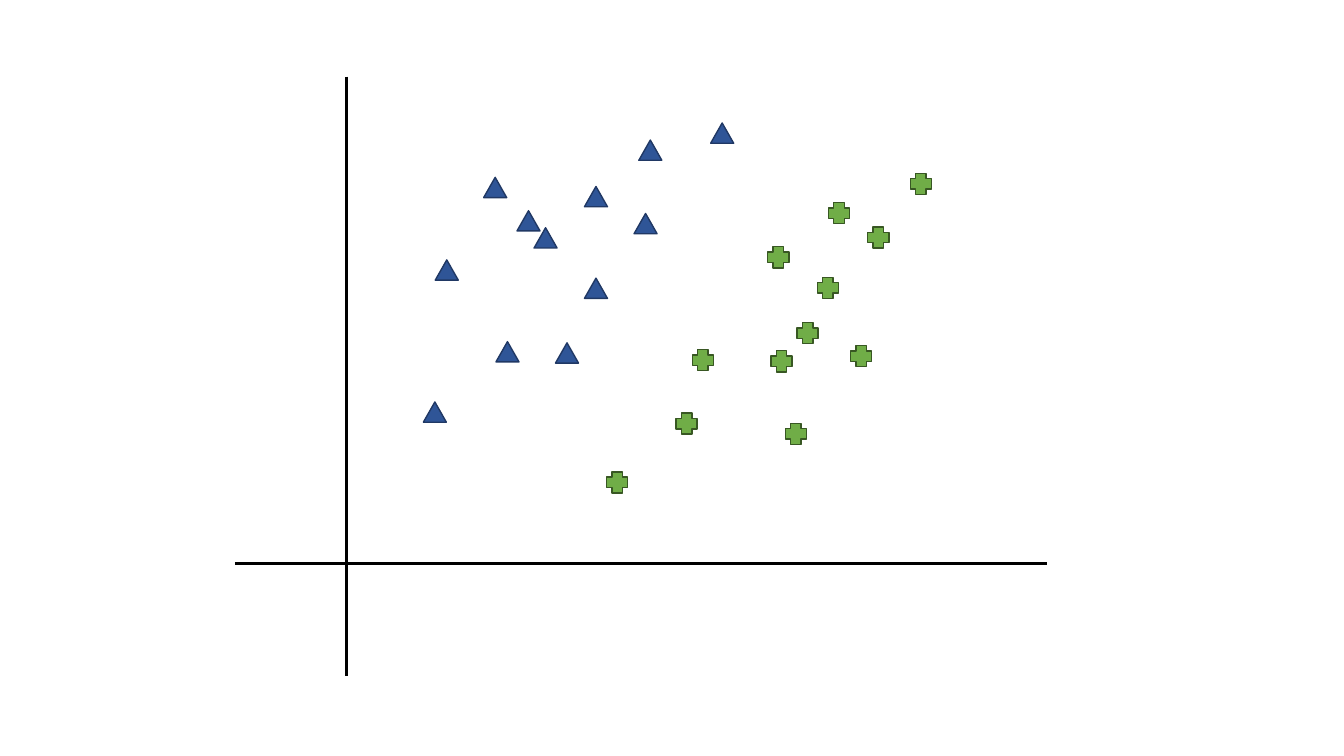
import pptx
import pptx.dml.color
import pptx.enum.shapes
import pptx.oxml
import pptx.util
from dataclasses import dataclass

Cm = pptx.util.Cm
Pt = pptx.util.Pt
Shapes = pptx.enum.shapes.MSO_SHAPE


@dataclass(frozen=True)
class MarkerStyle:
    preset: int
    width: float
    height: float
    fill: str
    outline: str


@dataclass(frozen=True)
class Theme:
    background: str = "FFFFFF"
    axis_colour: str = "000000"
    axis_weight: float = 2.25
    outline_weight: float = 1
    triangle: MarkerStyle = MarkerStyle(
        Shapes.ISOSCELES_TRIANGLE, 0.58, 0.51, "2F5597", "203864")
    plus: MarkerStyle = MarkerStyle(
        Shapes.CROSS, 0.53, 0.53, "70AD47", "385723")


def rgb(value):
    return pptx.dml.color.RGBColor.from_string(value)


class ScatterSlide:
    def __init__(self, slide, theme):
        self.slide = slide
        self.theme = theme
        background = slide.background.fill
        background.solid()
        background.fore_color.rgb = rgb(theme.background)

    def axis(self, x1, y1, x2, y2):
        axis = self.slide.shapes.add_connector(
            pptx.enum.shapes.MSO_CONNECTOR.STRAIGHT,
            Cm(x1), Cm(y1), Cm(x2), Cm(y2))
        axis.line.color.rgb = rgb(self.theme.axis_colour)
        axis.line.width = Pt(self.theme.axis_weight)
        # An empty effect list switches off the theme shadow
        axis.element.spPr.append(pptx.oxml.parse_xml(
            '<a:effectLst xmlns:a='
            '"http://schemas.openxmlformats.org/drawingml/2006/main"/>'))

    def marker(self, style, left, top):
        marker = self.slide.shapes.add_shape(
            style.preset, Cm(left), Cm(top), Cm(style.width), Cm(style.height))
        marker.shadow.inherit = False
        marker.fill.solid()
        marker.fill.fore_color.rgb = rgb(style.fill)
        marker.line.color.rgb = rgb(style.outline)
        marker.line.width = Pt(self.theme.outline_weight)

    def cluster(self, style, positions):
        for left, top in positions:
            self.marker(style, left, top)


# Top-left corners of the markers, in centimetres
TRIANGLE_CLASS = [
    (12.19, 4.47), (17.91, 3.10), (10.67, 10.13), (13.03, 5.31),
    (13.46, 5.74), (14.73, 4.70), (10.97, 6.55), (14.73, 7.01),
    (14.00, 8.64), (16.10, 3.53), (12.50, 8.61), (15.98, 5.38),
]
PLUS_CLASS = [
    (19.35, 6.22), (15.29, 11.89), (17.04, 10.41), (20.88, 5.11),
    (19.43, 8.84), (20.60, 6.99), (22.94, 4.37), (21.44, 8.71),
    (20.09, 8.13), (19.79, 10.67), (17.45, 8.81), (21.87, 5.72),
]
ORIGIN_X, ORIGIN_Y = 8.74, 14.20


def main():
    deck = pptx.Presentation()
    deck.slide_width, deck.slide_height = Cm(33.87), Cm(19.05)
    theme = Theme()
    blank_layout = deck.slide_layouts[6]
    scatter = ScatterSlide(deck.slides.add_slide(blank_layout), theme)

    # Axes crossing at the origin
    scatter.axis(ORIGIN_X, 1.93, ORIGIN_X, 17.04)
    scatter.axis(5.92, ORIGIN_Y, 26.39, ORIGIN_Y)

    # The two classes of points
    scatter.cluster(theme.triangle, TRIANGLE_CLASS)
    scatter.cluster(theme.plus, PLUS_CLASS)

    deck.save("out.pptx")


if __name__ == "__main__":
    main()
